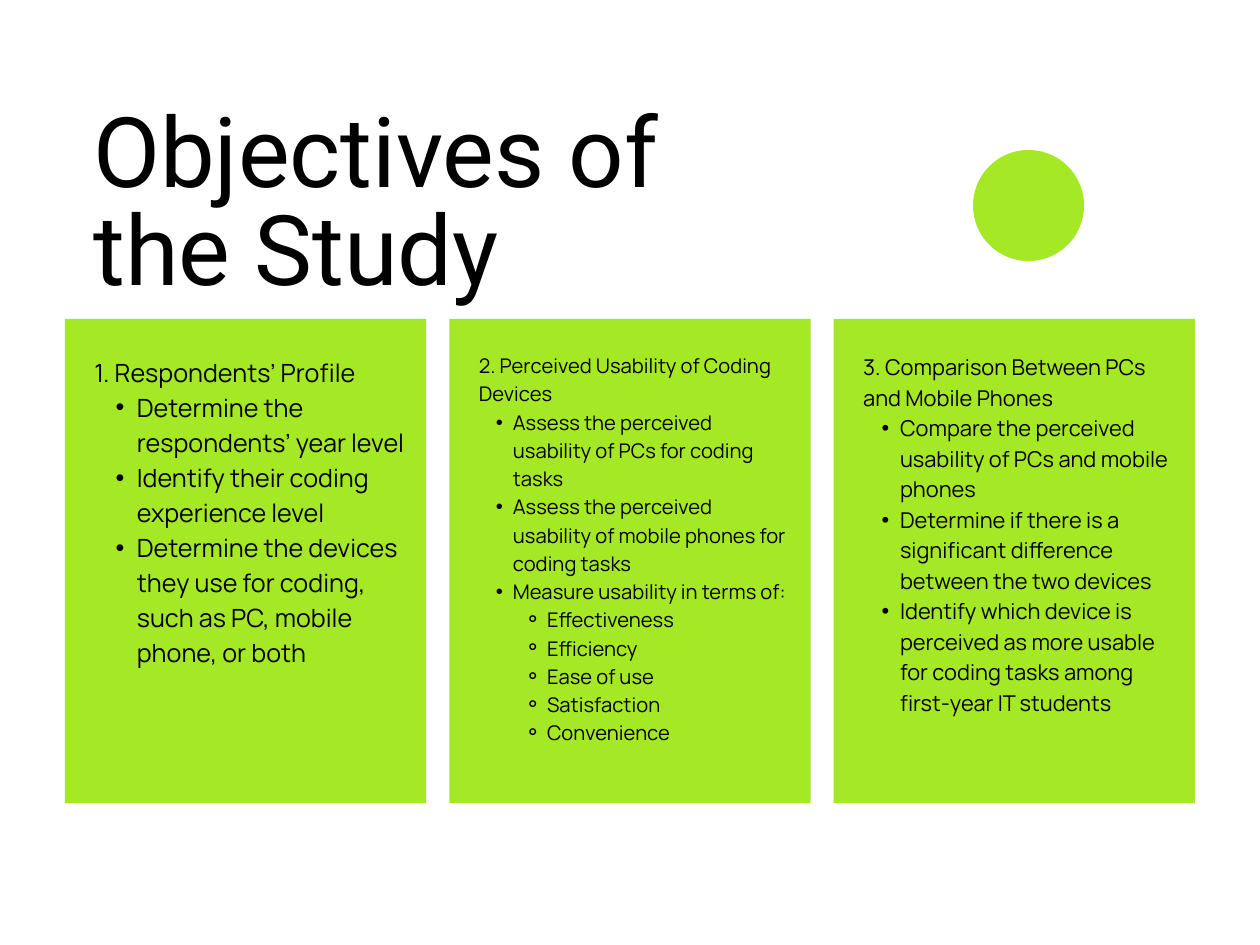
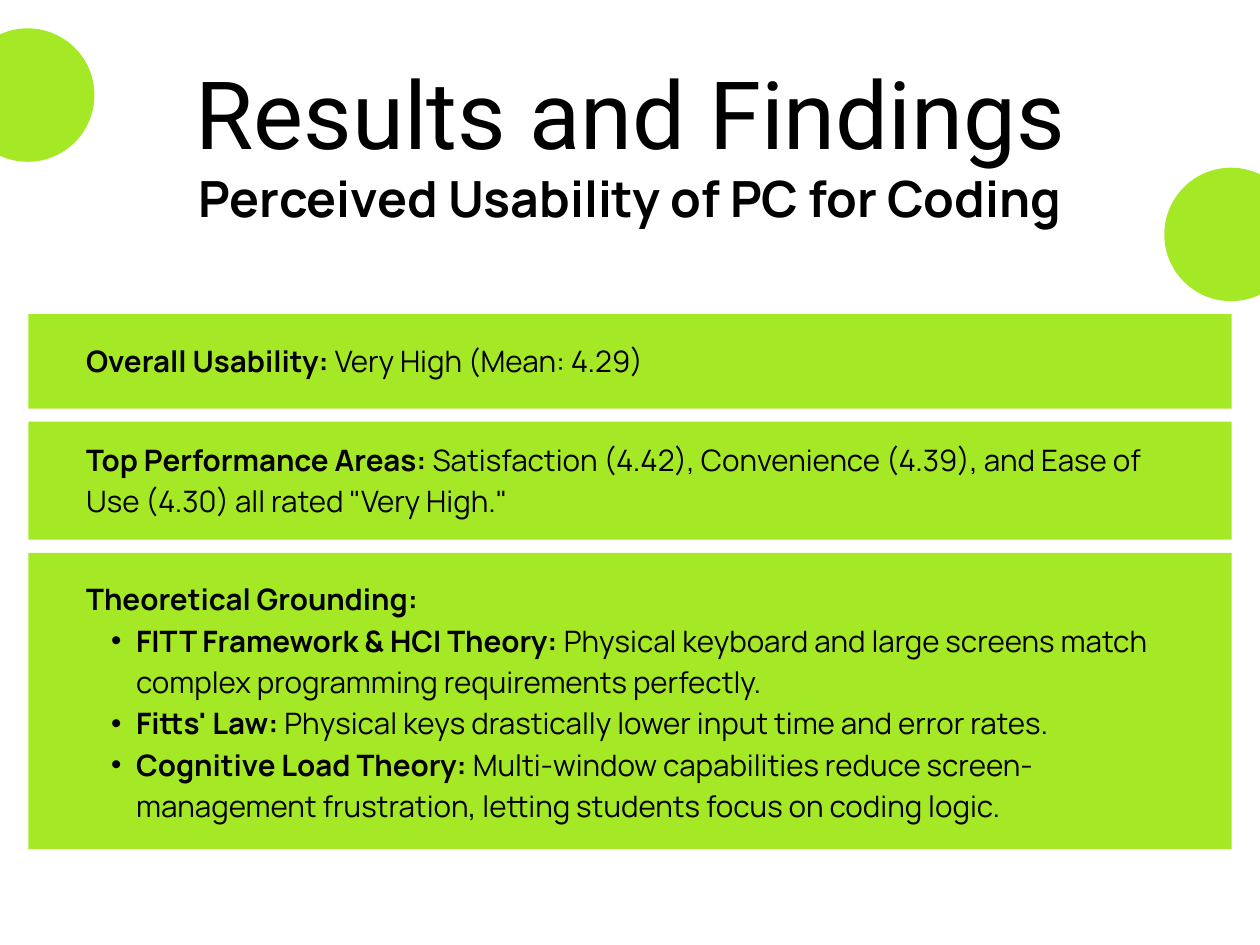
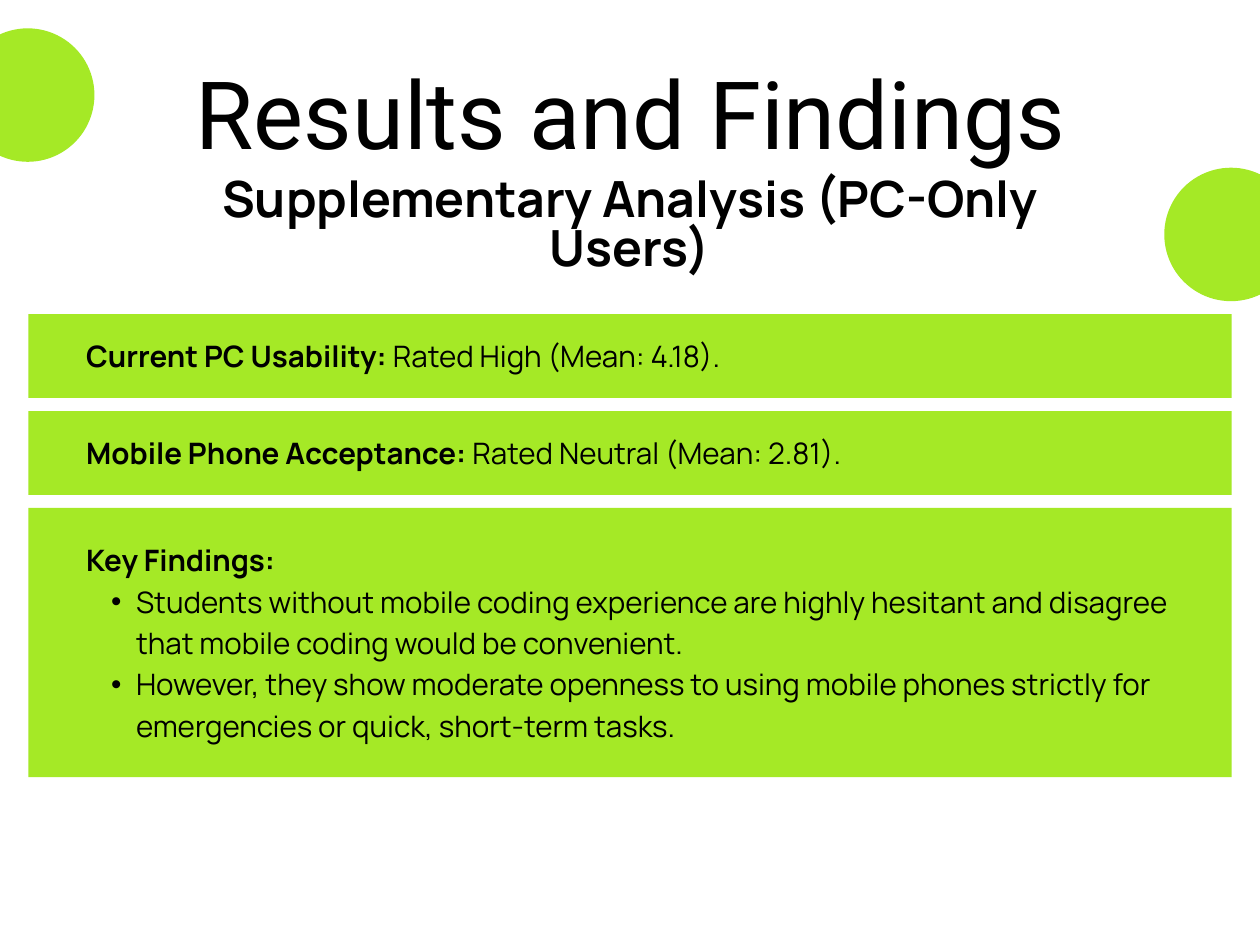
from dataclasses import dataclass

from lxml import etree
from pptx import Presentation
from pptx import util as u
from pptx.dml.color import RGBColor
from pptx.enum import shapes, text
from pptx.oxml.ns import qn


@dataclass(frozen=True)
class Theme:
    lime: RGBColor = RGBColor(0xA5, 0xE9, 0x26)
    ink: RGBColor = RGBColor(0, 0, 0)
    head: str = "Roboto"
    body: str = "Manrope"
    cover: float = 59.4
    title: float = 57.4
    sub: float = 30.4
    band: float = 18
    lead: float = 1.4
    step: float = 1.69


T = Theme()
SIZE = (10.67, 8)
MARKS = ("•", "⚬")

AIMS = [
    dict(size=15.3, top=2.98, high=3.5, lines=[
        (0, "1. Respondents’ Profile"),
        (1, "Determine the respondents’ year level"),
        (1, "Identify their coding experience level"),
        (1, "Determine the devices they use for coding, such as PC, mobile phone, or both"),
    ]),
    dict(size=12.3, top=2.96, high=3.67, lines=[
        (0, "2. Perceived Usability of Coding Devices"),
        (1, "Assess the perceived usability of PCs for coding tasks"),
        (1, "Assess the perceived usability of mobile phones for coding tasks"),
        (1, "Measure usability in terms of:"),
        (2, "Effectiveness"),
        (2, "Efficiency"),
        (2, "Ease of use"),
        (2, "Satisfaction"),
        (2, "Convenience"),
    ]),
    dict(size=13.3, top=2.96, high=3.51, lines=[
        (0, "3. Comparison Between PCs and Mobile Phones"),
        (1, "Compare the perceived usability of PCs and mobile phones"),
        (1, "Determine if there is a significant difference between the two devices"),
        (1, "Identify which device is perceived as more usable for coding tasks "
            "among first-year IT students"),
    ]),
]

RESULTS = [
    ("Perceived Usability of PC for Coding", 0.48, [
        dict(high=0.8, pad=0.19, rows=1, lines=[
            (0, "Overall Usability: ", "Very High (Mean: 4.29)")]),
        dict(high=1, pad=0.12, rows=2, lines=[
            (0, "Top Performance Areas: ",
             "Satisfaction (4.42), Convenience (4.39), and Ease of Use (4.30) "
             'all rated "Very High."')]),
        dict(high=2.51, pad=0.19, rows=6, lines=[
            (0, "Theoretical Grounding:", ""),
            (1, "FITT Framework & HCI Theory: ",
             "Physical keyboard and large screens match complex programming "
             "requirements perfectly."),
            (1, "Fitts' Law: ",
             "Physical keys drastically lower input time and error rates."),
            (1, "Cognitive Load Theory: ",
             "Multi-window capabilities reduce screen-management frustration, "
             "letting students focus on coding logic."),
        ]),
    ]),
    ("Supplementary Analysis (PC-Only Users)", 0.9, [
        dict(high=0.71, pad=0.15, rows=1, lines=[
            (0, "Current PC Usability: ", "Rated High (Mean: 4.18).")]),
        dict(high=0.71, pad=0.15, rows=1, lines=[
            (0, "Mobile Phone Acceptance: ", "Rated Neutral (Mean: 2.81).")]),
        dict(high=2.28, pad=0.24, rows=5, lines=[
            (0, "Key Findings:", ""),
            (1, "", "Students without mobile coding experience are highly hesitant "
                    "and disagree that mobile coding would be convenient."),
            (1, "", "However, they show moderate openness to using mobile phones "
                    "strictly for emergencies or quick, short-term tasks."),
        ]),
    ]),
]


def inches(*box):
    return [u.Inches(n) for n in box]


def block(slide, kind, *box):
    shape = slide.shapes.add_shape(kind, *inches(*box))
    shape.shadow.inherit = False
    shape.fill.solid()
    shape.fill.fore_color.rgb = T.lime
    shape.line.fill.background()


def bullet(para, level, size):
    left = u.Pt(size * T.step * level)
    props = para._p.get_or_add_pPr()
    props.set("marL", str(left))
    props.set("indent", str(-left // (level + 1)))
    etree.SubElement(props, qn("a:buFont")).set("typeface", "Arial")
    etree.SubElement(props, qn("a:buChar")).set("char", MARKS[level - 1])
    para.level = level


def write(slide, lines, box, size, font=T.body, lead=T.lead, bold=False, align=None):
    frame = slide.shapes.add_textbox(*inches(*box)).text_frame
    frame.margin_left = frame.margin_right = frame.margin_top = frame.margin_bottom = 0
    frame.word_wrap = True
    frame.auto_size = text.MSO_AUTO_SIZE.SHAPE_TO_FIT_TEXT
    if isinstance(lines, str):
        lines = [(0, lines)]
    for i, (level, first, *rest) in enumerate(lines):
        para = frame.paragraphs[0] if i == 0 else frame.add_paragraph()
        if level:
            bullet(para, level, size)
        para.line_spacing = u.Pt(round(size * lead, 1))
        para.alignment = align
        for part, heavy in [(first, bold or bool(rest))] + [(r, False) for r in rest]:
            if part:
                run = para.add_run()
                run.text = part
                run.font.name = font
                run.font.size = u.Pt(size)
                run.font.bold = heavy
                run.font.color.rgb = T.ink


def aims(slide):
    left, right, wide = 0.55, 10.12, 3.06
    pitch = (right - left - wide) / (len(AIMS) - 1)
    for i, card in enumerate(AIMS):
        x = left + i * pitch
        block(slide, shapes.MSO_SHAPE.RECTANGLE, x, 2.7, wide, 4.1)
        write(slide, card["lines"], (x + 0.25, card["top"], 2.64, card["high"]), card["size"])
    write(slide, "Objectives of the Study", (0.79, 0.93, 5.46, 1.69), T.cover,
          font=T.head, lead=1)
    block(slide, shapes.MSO_SHAPE.OVAL, 8.24, 1.27, 0.94, 0.94)


def result(slide, sub, high, bands):
    mid = text.PP_ALIGN.CENTER
    for x, y in ((-0.33, 0.24), (9.86, 1.42)):
        block(slide, shapes.MSO_SHAPE.OVAL, x, y, 1.13, 1.13)
    write(slide, "Results and Findings", (1.61, 0.63, 7.46, 0.84), T.title,
          font=T.head, lead=1, align=mid)
    write(slide, sub, (1.43, 1.5, 7.81, high), T.sub, lead=1, bold=True, align=mid)
    y, gap = 2.66, 0.11
    for band in bands:
        block(slide, shapes.MSO_SHAPE.RECTANGLE, 0.24, y, 10.19, band["high"])
        write(slide, band["lines"],
              (0.73, y + band["pad"], 9.2, band["rows"] * 0.35), T.band)
        y += band["high"] + gap


def main():
    deck = Presentation()
    deck.slide_width, deck.slide_height = inches(*SIZE)
    blank = deck.slide_layouts[6]
    aims(deck.slides.add_slide(blank))
    for item in RESULTS:
        result(deck.slides.add_slide(blank), *item)
    deck.save("out.pptx")


if __name__ == "__main__":
    main()
